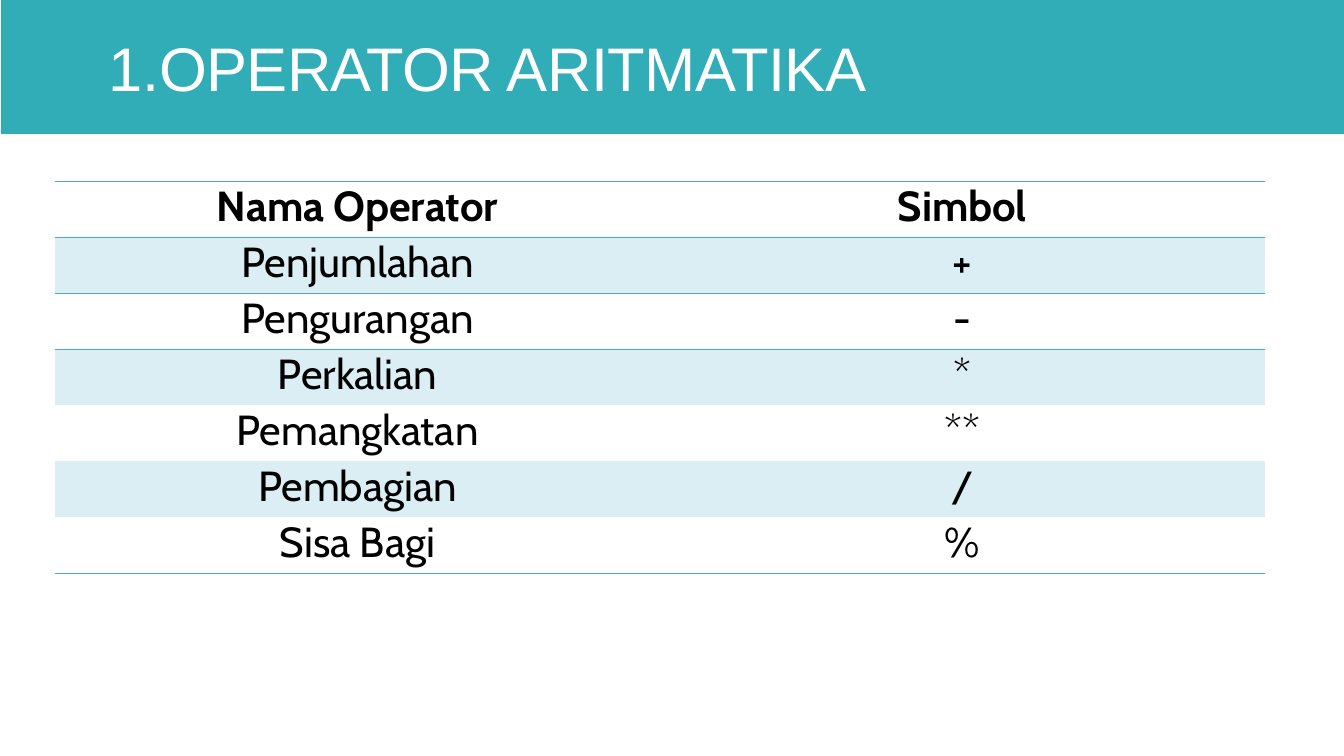
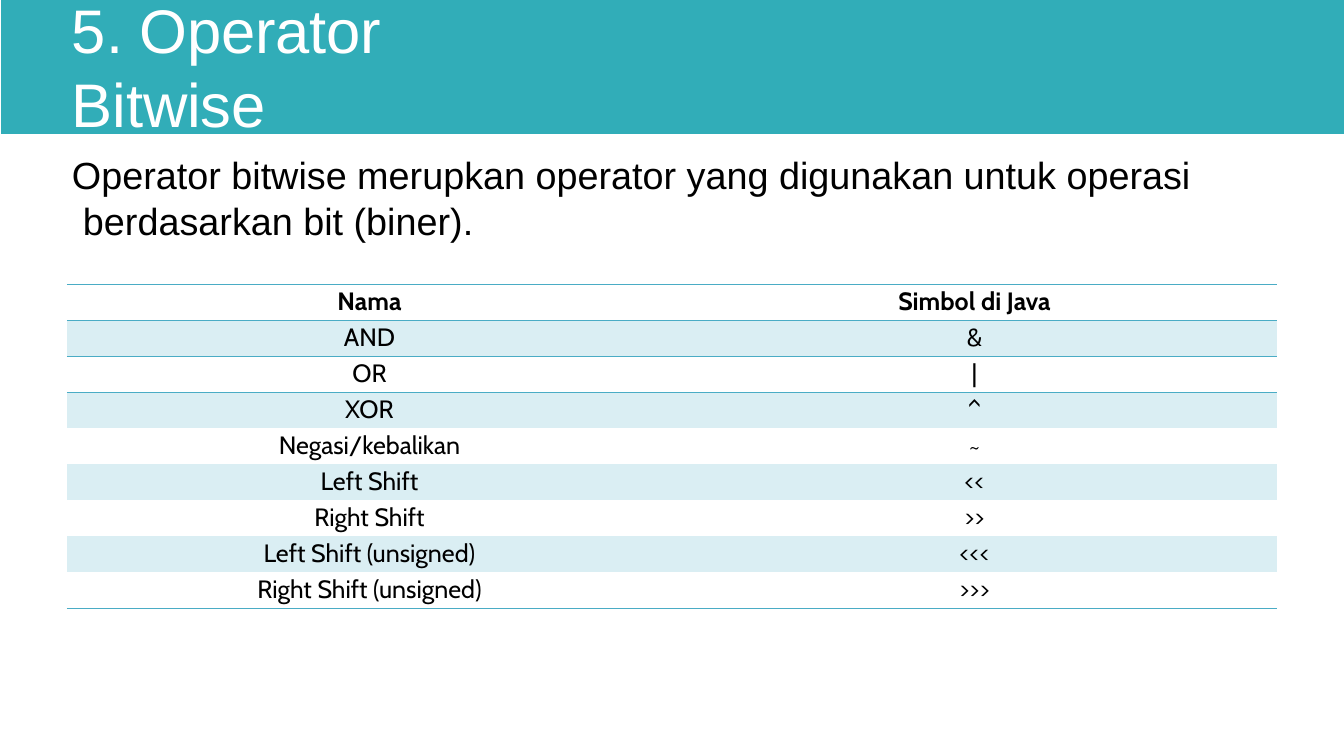
from pptx import Presentation
from pptx.dml.color import RGBColor
from pptx.enum.shapes import MSO_SHAPE as Preset
from pptx.enum.text import MSO_ANCHOR as Anchor, MSO_AUTO_SIZE as AutoSize, PP_ALIGN as Align
from pptx.oxml import parse_xml
from pptx.oxml.ns import nsdecls, qn
from pptx.util import Pt

EMU_PER_PX = 14966
WIDTH, HEIGHT = 1344, 756
BAND_HEIGHT = 134
TABLE_WIDTH = 1210
TITLE_LAYOUT = 5
PLAIN_TABLE_STYLE = "{2D5ABB26-0587-4C30-8999-92F81FD0307C}"
COLORS = {
    "band": "31ADB8",
    "title": "FFFFFF",
    "text": "000000",
    "stripe": "DAEEF3",
    "rule": "4AACC5",
}

ARITHMETIC = [
    ("Nama Operator", "Simbol"),
    ("Penjumlahan", "+"),
    ("Pengurangan", "-"),
    ("Perkalian", "*"),
    ("Pemangkatan", "**"),
    ("Pembagian", "/"),
    ("Sisa Bagi", "%"),
]
BITWISE = [
    ("Nama", "Simbol di Java"),
    ("AND", "&"),
    ("OR", "|"),
    ("XOR", "^"),
    ("Negasi/kebalikan", "~"),
    ("Left Shift", "<<"),
    ("Right Shift", ">>"),
    ("Left Shift (unsigned)", "<<<"),
    ("Right Shift (unsigned)", ">>>"),
]


def px(length):
    return length * EMU_PER_PX


def color(name):
    return RGBColor.from_string(COLORS[name])


class Deck:
    def __init__(self):
        self.presentation = Presentation()
        self.presentation.slide_width = px(WIDTH)
        self.presentation.slide_height = px(HEIGHT)
        self.slide = None

    def add_slide(self):
        layout = self.presentation.slide_layouts[TITLE_LAYOUT]
        self.slide = self.presentation.slides.add_slide(layout)
        self.add_band()

    def add_band(self):
        shapes = self.slide.shapes
        band = shapes.add_shape(Preset.RECTANGLE, px(1), 0, px(WIDTH - 1), px(BAND_HEIGHT))
        band.shadow.inherit = False
        band.fill.solid()
        band.fill.fore_color.rgb = color("band")
        band.line.fill.background()
        shapes._spTree.insert(2, band._element)

    def style(self, paragraph, font_name, size, color_name, align, bold=False):
        paragraph.alignment = align
        font = paragraph.font
        font.name = font_name
        font.size = Pt(size)
        font.bold = bold
        font.color.rgb = color(color_name)

    def fill_frame(self, shape, text, size, color_name, anchor):
        frame = shape.text_frame
        frame.margin_left = frame.margin_right = frame.margin_bottom = 0
        frame.margin_top = px(1)
        frame.word_wrap = True
        frame.auto_size = AutoSize.SHAPE_TO_FIT_TEXT
        frame.vertical_anchor = anchor
        frame.text = text
        paragraph = frame.paragraphs[0]
        self.style(paragraph, "Arial", size, color_name, Align.LEFT)
        return paragraph

    def set_title(self, text, left, top, width, height, spacing):
        title = self.slide.shapes.title
        title.left, title.top = px(left), px(top)
        title.width, title.height = px(width), px(height)
        paragraph = self.fill_frame(title, text, 72.5, "title", Anchor.MIDDLE)
        paragraph.runs[0]._r.get_or_add_rPr().set("spc", str(spacing))

    def add_text(self, text, left, top, width, height, hanging):
        box = self.slide.shapes.add_textbox(px(left), px(top), px(width), px(height))
        paragraph = self.fill_frame(box, text, 44.5, "text", Anchor.TOP)
        properties = paragraph._p.get_or_add_pPr()
        properties.set("marL", str(px(hanging)))
        properties.set("indent", str(-px(hanging)))

    def add_rule(self, cell, side):
        line = parse_xml(
            f'<a:{side} {nsdecls("a")} w="12700"><a:solidFill>'
            f'<a:srgbClr val="{COLORS["rule"]}"/></a:solidFill></a:{side}>'
        )
        cell._tc.get_or_add_tcPr().insert(0, line)

    def add_table(self, rows, left, top, row_height, size, inset):
        columns = len(rows[0])
        frame = self.slide.shapes.add_table(
            len(rows), columns, px(left), px(top),
            px(TABLE_WIDTH), px(row_height * len(rows)),
        )
        table = frame.table
        table.first_row = table.horz_banding = False
        next(frame._element.iter(qn("a:tableStyleId"))).text = PLAIN_TABLE_STYLE
        for column in table.columns:
            column.width = px(TABLE_WIDTH // columns)
        ruled_edges = {0, 1, 2, len(rows)}
        for row_index, texts in enumerate(rows):
            table.rows[row_index].height = px(row_height)
            for column_index, text in enumerate(texts):
                cell = table.cell(row_index, column_index)
                cell.margin_left = cell.margin_right = cell.margin_bottom = 0
                cell.margin_top = px(inset)
                cell.text = text
                self.style(cell.text_frame.paragraphs[0], "Cabin", size, "text",
                           Align.CENTER, bold=row_index == 0)
                if row_index % 2:
                    cell.fill.solid()
                    cell.fill.fore_color.rgb = color("stripe")
                else:
                    cell.fill.background()
                if row_index + 1 in ruled_edges:
                    self.add_rule(cell, "lnB")
                if row_index in ruled_edges:
                    self.add_rule(cell, "lnT")


def main():
    deck = Deck()

    deck.add_slide()
    deck.set_title("1.OPERATOR ARITMATIKA", 109, 29, 777, 75, spacing=-70)
    deck.add_table(ARITHMETIC, 55, 181, row_height=56, size=49.5, inset=0)

    deck.add_slide()
    deck.set_title("5. Operator Bitwise", 72, 27, 497, 76, spacing=-20)
    deck.add_table(BITWISE, 67, 284, row_height=36, size=29.5, inset=2)
    deck.add_text(
        "Operator bitwise merupkan operator yang digunakan untuk operasi "
        "berdasarkan bit (biner).",
        72, 151, 1130, 92, hanging=11,
    )

    deck.presentation.save("out.pptx")


if __name__ == "__main__":
    main()
